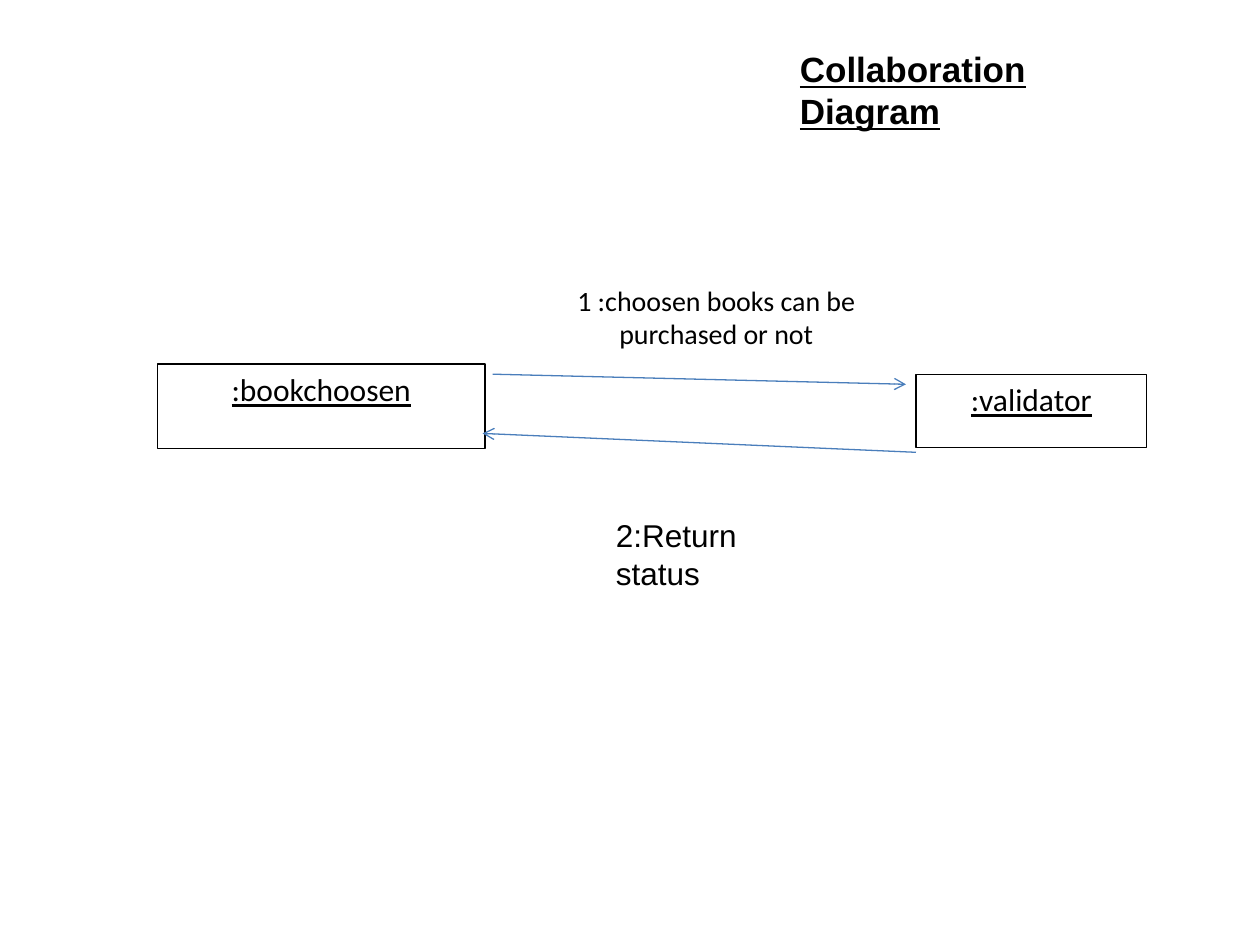
from dataclasses import dataclass

from lxml import etree
from pptx import Presentation
from pptx.dml.color import RGBColor
from pptx.enum.shapes import MSO_CONNECTOR, MSO_SHAPE
from pptx.enum.text import MSO_ANCHOR, MSO_AUTO_SIZE, PP_ALIGN
from pptx.oxml.ns import qn
from pptx.util import Inches, Pt

BLACK = RGBColor(0x00, 0x00, 0x00)
WHITE = RGBColor(0xFF, 0xFF, 0xFF)
BLUE = RGBColor(0x4A, 0x7E, 0xBB)
RECTANGLE = MSO_SHAPE.RECTANGLE
STRAIGHT = MSO_CONNECTOR.STRAIGHT
TOP = MSO_ANCHOR.TOP
LEFT, CENTER = PP_ALIGN.LEFT, PP_ALIGN.CENTER
GROW = MSO_AUTO_SIZE.SHAPE_TO_FIT_TEXT
LINE_WIDTH = Pt(0.75)


@dataclass(frozen=True)
class Panel:
    text: str
    left: float
    top: float
    width: float
    height: float
    size: int = 18
    outlined: bool = True


@dataclass(frozen=True)
class Message:
    start: tuple[float, float]
    end: tuple[float, float]


PANELS = [
    Panel(":bookchoosen", 1.25, 2.89, 2.6, 0.67),
    Panel(":validator", 7.27, 2.97, 1.83, 0.58),
    Panel("1 :choosen books can be purchased or not", 4.01, 2.2, 3.35, 0.65,
          size=16, outlined=False),
]
MESSAGES = [
    Message((3.91, 2.97), (7.19, 3.05)),
    Message((7.27, 3.59), (3.83, 3.44)),
]


def write_text(shape, text: str, *, size: int, font: str = "Arial", bold: bool = False,
               underline: bool = False, align=LEFT, space_after: int = 0,
               wrap: bool = True) -> None:
    frame = shape.text_frame
    frame.word_wrap = wrap
    frame.vertical_anchor = TOP
    para = frame.paragraphs[0]
    para.alignment = align
    para.space_after = Pt(space_after)
    span = para.add_run()
    span.text = text
    span.font.name = font
    span.font.size = Pt(size)
    span.font.bold = bold
    span.font.underline = underline
    span.font.color.rgb = BLACK


def draw_panel(page, panel: Panel) -> None:
    box = page.shapes.add_shape(RECTANGLE, Inches(panel.left), Inches(panel.top),
                                Inches(panel.width), Inches(panel.height))
    box.shadow.inherit = False
    box.fill.solid()
    box.fill.fore_color.rgb = WHITE
    if panel.outlined:
        box.line.color.rgb = BLACK
        box.line.width = LINE_WIDTH
    else:
        box.line.fill.background()
    write_text(box, panel.text, size=panel.size, font="Calibri",
               underline=panel.outlined, align=CENTER, space_after=10)


def draw_message(page, message: Message) -> None:
    """Draw an arrow with an open head at its end."""
    points = [Inches(value) for value in message.start + message.end]
    arrow = page.shapes.add_connector(STRAIGHT, *points)
    arrow.line.color.rgb = BLUE
    arrow.line.width = LINE_WIDTH
    etree.SubElement(arrow.line._get_or_add_ln(), qn("a:tailEnd"), type="arrow")
    etree.SubElement(arrow._element.spPr, qn("a:effectLst"))


def add_caption(page, text: str, left: float, top: float, width: float, height: float,
                **text_format) -> None:
    box = page.shapes.add_textbox(Inches(left), Inches(top), Inches(width), Inches(height))
    write_text(box, text, **text_format)
    box.text_frame.auto_size = GROW


def main() -> None:
    deck = Presentation()
    deck.slide_width, deck.slide_height = Inches(10), Inches(7.5)
    page = deck.slides.add_slide(deck.slide_layouts[6])
    for panel in PANELS:
        draw_panel(page, panel)
    add_caption(page, "Collaboration Diagram", 6.25, 0.33, 3.16, 0.77,
                size=20, bold=True, underline=True)
    for message in MESSAGES:
        draw_message(page, message)
    add_caption(page, "2:Return status", 4.79, 4.05, 1.89, 0.4, size=18, wrap=False)
    deck.save("out.pptx")


if __name__ == "__main__":
    main()
